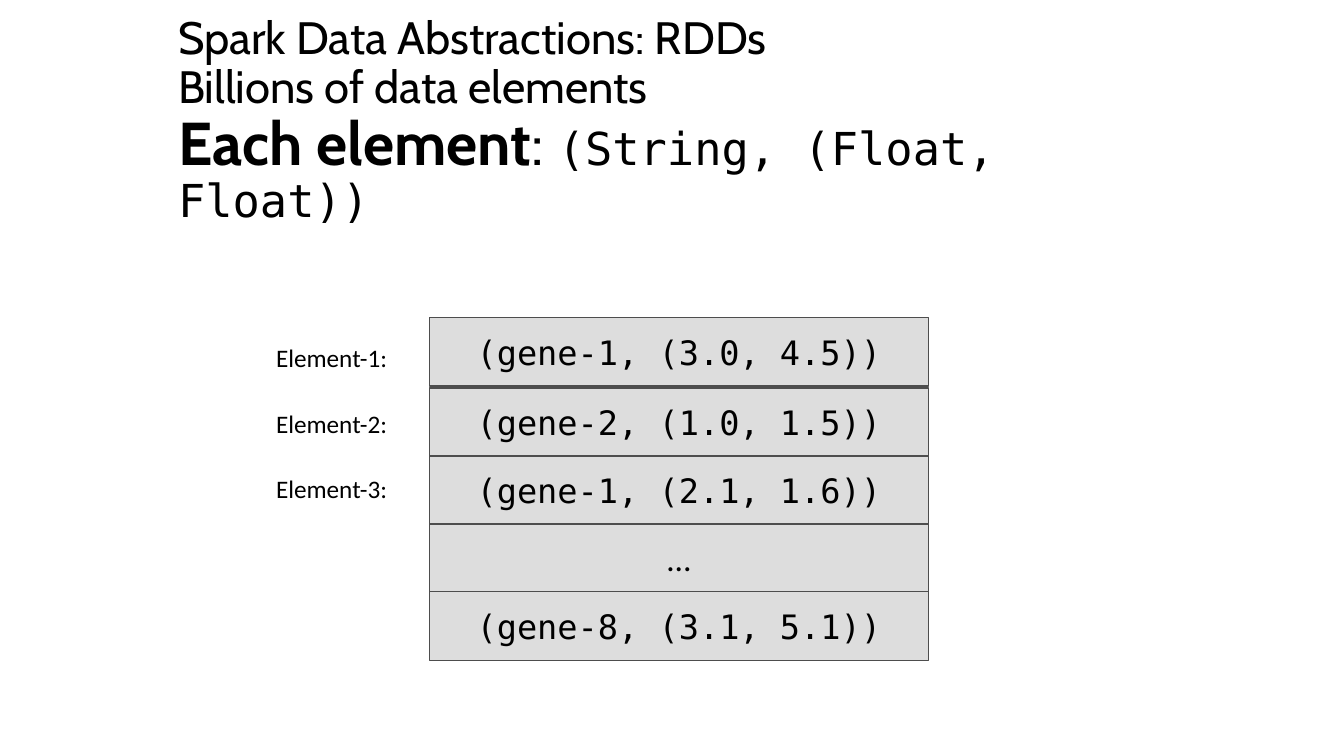
from lxml.etree import SubElement
from pptx import Presentation
from pptx.dml.color import RGBColor
from pptx.enum.shapes import MSO_SHAPE as SHAPE
from pptx.enum.text import MSO_ANCHOR as ANCHOR, MSO_AUTO_SIZE as AUTO, PP_ALIGN as ALIGN
from pptx.oxml.ns import qn
from pptx.util import Pt

BLACK = RGBColor(0x00, 0x00, 0x00)
GREY = RGBColor(0xDD, 0xDD, 0xDD)
DARK = RGBColor(0x4D, 0x4D, 0x4D)
HEAD, BODY, MONO = "Cabin", "Calibri", "DejaVu Sans Mono"


def add_run(p, text, font=BODY, size=18, bold=False, color=BLACK):
    r = p.add_run()
    r.text = text
    r.font.name, r.font.size, r.font.bold = font, Pt(size), bold
    r.font.color.rgb = color
    return r


class SlideBuilder:
    def __init__(self, s):
        self.s = s

    def title(self, x, y, w, h, lines):
        sp = self.s.shapes.title
        sp.left, sp.top, sp.width, sp.height = Pt(x), Pt(y), Pt(w), Pt(h)
        tf = sp.text_frame
        tf.word_wrap, tf.auto_size = True, AUTO.NONE
        tf.vertical_anchor = ANCHOR.BOTTOM
        p = tf.paragraphs[0]
        p.alignment, p.line_spacing = ALIGN.LEFT, 0.9
        for i, runs in enumerate(lines):
            if i:
                # The break takes the size of the line it closes
                p.add_line_break()
                SubElement(p._p[-1], qn("a:rPr"), sz="3240")
            for text, style in runs:
                add_run(p, text, **style)

    def box(self, x, y, w, h, text, **style):
        sp = self.s.shapes.add_shape(SHAPE.RECTANGLE, Pt(x), Pt(y), Pt(w), Pt(h))
        sp.shadow.inherit = False
        sp.fill.solid()
        sp.fill.fore_color.rgb = GREY
        sp.line.color.rgb, sp.line.width = DARK, Pt(1)
        tf = sp.text_frame
        tf.word_wrap, tf.vertical_anchor = True, ANCHOR.MIDDLE
        p = tf.paragraphs[0]
        p.alignment = ALIGN.CENTER
        add_run(p, text, **style)

    def label(self, x, y, w, h, text, **style):
        sp = self.s.shapes.add_textbox(Pt(x), Pt(y), Pt(w), Pt(h))
        tf = sp.text_frame
        tf.word_wrap, tf.auto_size = True, AUTO.SHAPE_TO_FIT_TEXT
        add_run(tf.paragraphs[0], text, **style)


def main():
    prs = Presentation()
    prs.slide_width, prs.slide_height = Pt(960), Pt(540)
    slide = SlideBuilder(prs.slides.add_slide(prs.slide_layouts[5]))

    # Title
    plain = dict(font=HEAD, size=32.4)
    strong = dict(font=HEAD, size=43.2, bold=True)
    slide.title(120, 44.6, 720, 121.7, [
        [("Spark Data Abstractions: RDDs", plain)],
        [("Billions of data elements", plain)],
        [("Each element", strong), (": ", dict(font=HEAD, size=43.2)),
         ("(String, (Float, Float))", dict(font=MONO, size=32.4))],
    ])

    # Data elements: the first row stands slightly apart from the rest
    rows = ["(gene-1, (3.0, 4.5))", "(gene-2, (1.0, 1.5))",
            "(gene-1, (2.1, 1.6))", "…", "(gene-8, (3.1, 5.1))"]
    for i, text in enumerate(rows):
        y = 277.2 + 48.5 * (i - 1) if i else 226.8
        slide.box(306.7, y, 356.4, 49, text, size=24,
                  font=BODY if text == "…" else MONO)

    # Row labels
    for i in range(3):
        slide.label(190.1, 241.2 + 46.8 * i, 102.2, 29, f"Element-{i + 1}:")

    prs.save("out.pptx")


if __name__ == "__main__":
    main()
